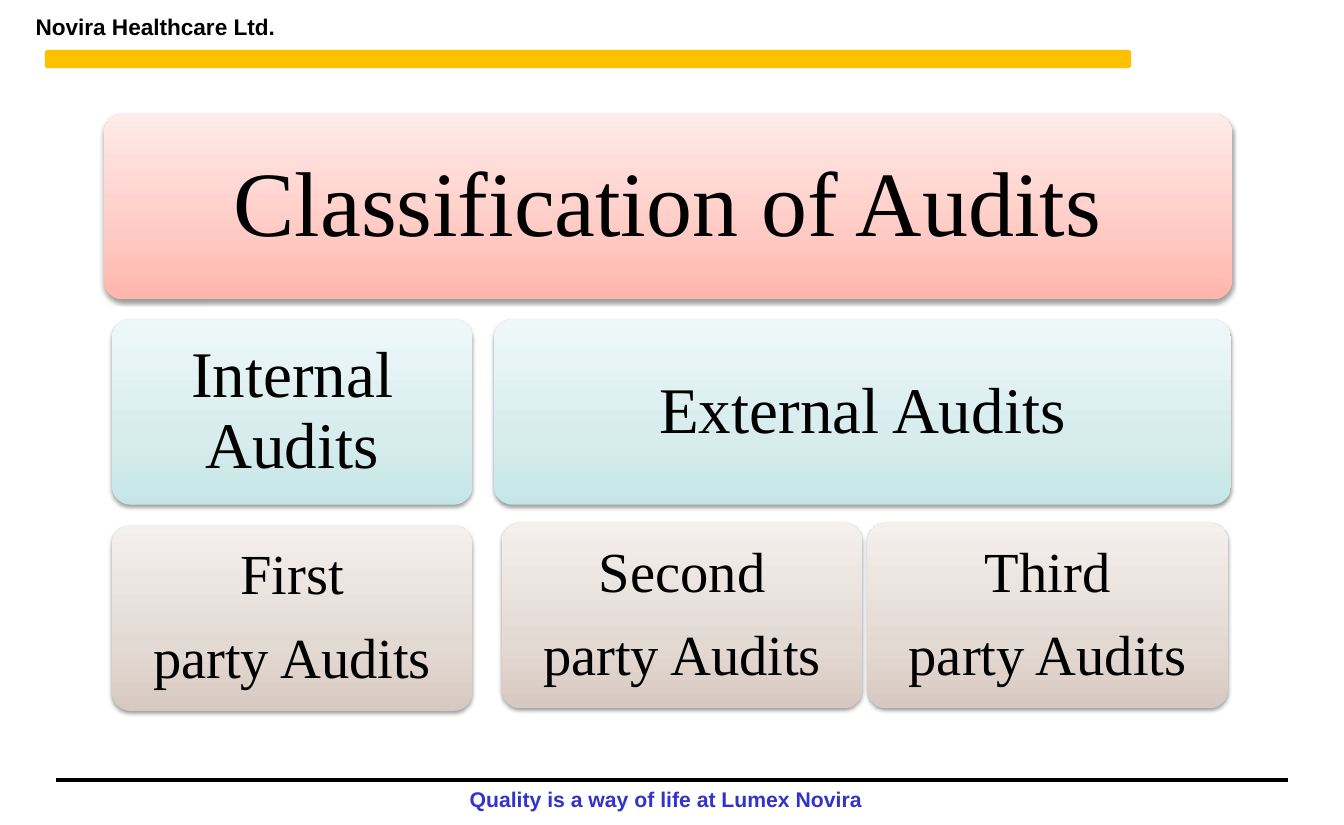
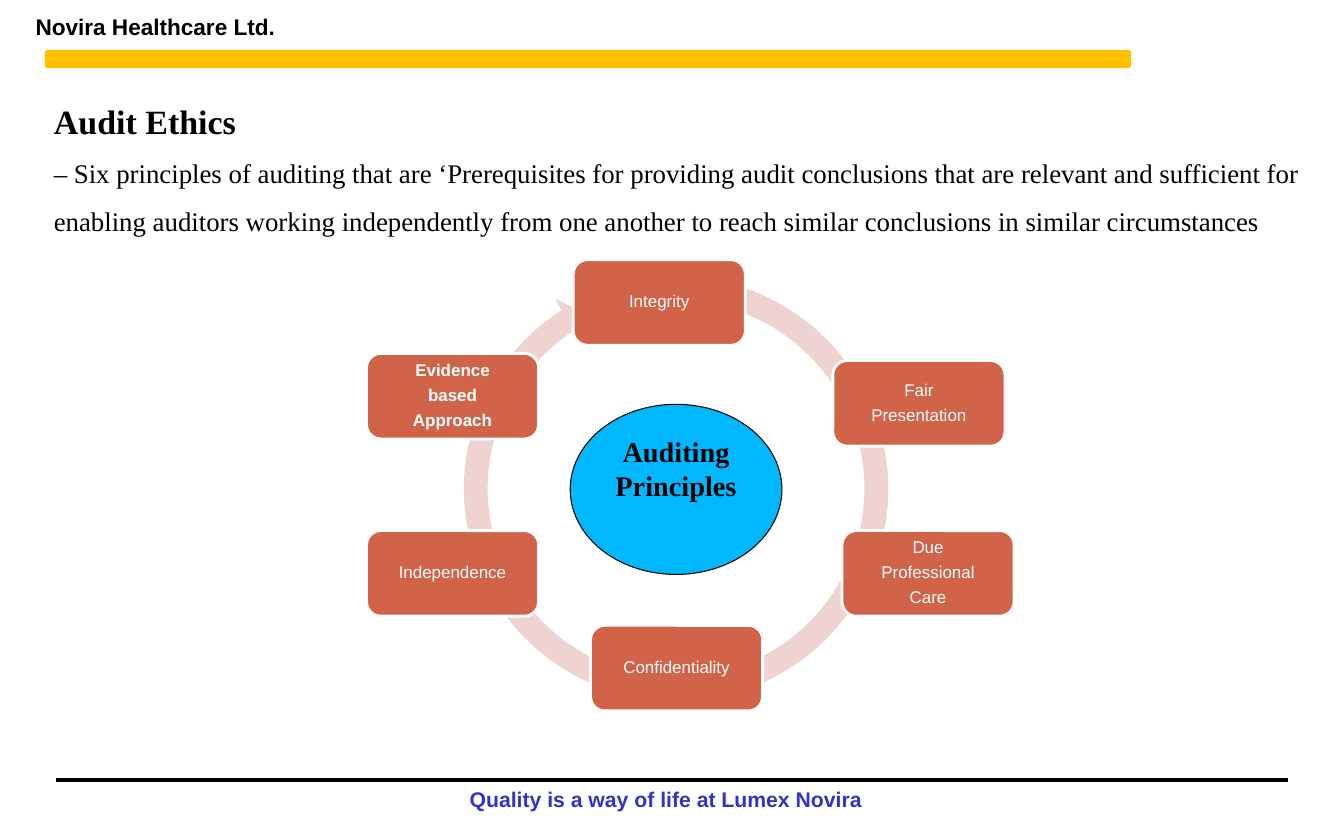
from dataclasses import dataclass
from typing import NamedTuple

import pptx
import pptx.dml.color
import pptx.enum.shapes
import pptx.enum.text
import pptx.oxml
import pptx.oxml.ns
import pptx.presentation
import pptx.shapes.autoshape
import pptx.shapes.base
import pptx.slide
import pptx.text.text
import pptx.util

PresetShape = pptx.enum.shapes.MSO_SHAPE
Anchor = pptx.enum.text.MSO_ANCHOR
Alignment = pptx.enum.text.PP_ALIGN

# The slide is a grid of square cells, a tenth of an inch each
COLUMNS, ROWS = 132, 81
CELL = pptx.util.Inches(0.1)


@dataclass(frozen=True)
class Theme:
    sans: str = "Arial"
    serif: str = "Times New Roman"
    black: str = "000000"
    white: str = "FFFFFF"
    band: str = "FFC000"
    motto: str = "3333CC"
    node: str = "D16349"
    ring: str = "EED3D0"
    hub: str = "00B8FF"
    company_size: int = 16
    motto_size: int = 15
    heading_size: int = 24
    body_size: int = 19
    node_size: int = 12
    hub_size: int = 20


THEME = Theme()


class Box(NamedTuple):
    column: float
    row: float
    columns: float
    rows: float

    def lengths(self) -> tuple[int, ...]:
        return tuple(round(value * CELL) for value in self)


class TextStyle(NamedTuple):
    font: str
    size: float
    color: str = THEME.black
    bold: bool = False
    alignment: Alignment = Alignment.CENTER
    line_spacing: float = 1.0
    space_after: float = 0  # share of the type size


class Level(NamedTuple):
    """Look of one level of the classification."""
    size: int
    inset: float
    bottom: str
    middle: str
    top: str

    def text_style(self) -> TextStyle:
        return TextStyle(THEME.serif, self.size, line_spacing=0.9, space_after=0.4)


class Tile(NamedTuple):
    lines: tuple[str, ...]
    column: float
    row: float
    columns: float
    level: Level


class Principle(NamedTuple):
    lines: tuple[str, ...]
    column: float
    row: float
    bold: bool = False


# Classification tiles
TILE_ROWS = 18.2
NARROW = 35.4
CLASS = Level(65, 3.2, "FFB5AC", "FFCAC4", "FFEBE8")
KIND = Level(46, 2.4, "C5E6E7", "D6ECED", "EFF8F9")
PARTY = Level(40, 2.2, "D7C9C1", "E3D9D3", "F4F0EE")
HEADING_TILE = Tile(("Classification of Audits",), 10.2, 11.2, 110.8, CLASS)
TILES = (
    Tile(("External Audits",), 48.5, 31.35, 72.4, KIND),
    Tile(("Second", "party Audits"), 49.3, 51.35, NARROW, PARTY),
    Tile(("Third", "party Audits"), 85.2, 51.35, NARROW, PARTY),
    Tile(("Internal Audits",), 11, 31.35, NARROW, KIND),
    Tile(("First", "party Audits"), 11, 51.6, NARROW, PARTY),
)

# Principles, clockwise from the top
NODE_COLUMNS, NODE_ROWS = 16.9, 8.4
RING_PERCENTS = (5.3, 312.6, 14218.2, 17132.8, 5.5)
PRINCIPLES = (
    Principle(("Integrity",), 56.3, 25.5),
    Principle(("Fair", "Presentation"), 81.8, 35.4),
    Principle(("Due", "Professional", "Care"), 82.7, 52.1),
    Principle(("Confidentiality",), 58, 61.4),
    Principle(("Independence",), 36, 52.1),
    Principle(("Evidence", "based", "Approach"), 36, 34.7, bold=True),
)


def rgb(color: str) -> pptx.dml.color.RGBColor:
    return pptx.dml.color.RGBColor.from_string(color)


def write(frame: pptx.text.text.TextFrame, lines: tuple[str, ...], style: TextStyle,
          insets: tuple[float, float] = (1, 0.5), anchor: Anchor = Anchor.TOP) -> None:
    """Fill a text frame, one paragraph a line; insets are across and down."""
    frame.word_wrap = True
    frame.auto_size = pptx.enum.text.MSO_AUTO_SIZE.NONE
    frame.vertical_anchor = anchor
    frame.margin_left = frame.margin_right = round(insets[0] * CELL)
    frame.margin_top = frame.margin_bottom = round(insets[1] * CELL)
    frame.text = "\n".join(lines)
    for paragraph in frame.paragraphs:
        paragraph.alignment = style.alignment
        paragraph.line_spacing = style.line_spacing
        paragraph.space_after = pptx.util.Pt(style.space_after * style.size)
        paragraph.font.name = style.font
        paragraph.font.size = pptx.util.Pt(style.size)
        paragraph.font.bold = style.bold
        paragraph.font.color.rgb = rgb(style.color)


def add_text(slide: pptx.slide.Slide, box: Box, text: str, style: TextStyle,
             insets: tuple[float, float] = (1, 0.5)) -> pptx.shapes.autoshape.Shape:
    shape = slide.shapes.add_textbox(*box.lengths())
    write(shape.text_frame, (text,), style, insets)
    return shape


def add_preset(slide: pptx.slide.Slide, preset: PresetShape, box: Box, fill: str | None = None,
               line: str | None = None, width: float = 0) -> pptx.shapes.autoshape.Shape:
    shape = slide.shapes.add_shape(preset, *box.lengths())
    shape.shadow.inherit = False
    if fill:
        shape.fill.solid()
        shape.fill.fore_color.rgb = rgb(fill)
    if line:
        shape.line.color.rgb = rgb(line)
        shape.line.width = pptx.util.Pt(width)
    else:
        shape.line.fill.background()
    return shape


def place_title(slide: pptx.slide.Slide, box: Box, text: str, style: TextStyle,
                insets: tuple[float, float] = (1, 0.5), anchor: Anchor = Anchor.TOP) -> None:
    title = slide.shapes.title
    title.left, title.top, title.width, title.height = box.lengths()
    write(title.text_frame, (text,), style, insets, anchor)
    slide.shapes.element.append(title.element)  # in front of what is drawn so far


def add_frame(slide: pptx.slide.Slide, layout: pptx.slide.SlideLayout) -> None:
    """Draw the header and footer, then hand them to the layout."""
    company = TextStyle(THEME.sans, THEME.company_size, bold=True, alignment=Alignment.LEFT)
    motto = TextStyle(THEME.sans, THEME.motto_size, THEME.motto, bold=True)
    rule_row = round(76.6 * CELL)
    rule = slide.shapes.add_connector(pptx.enum.shapes.MSO_CONNECTOR.STRAIGHT, round(5.5 * CELL),
                                      rule_row, round(126.5 * CELL), rule_row)
    rule.line.color.rgb = rgb(THEME.black)
    rule.line.width = pptx.util.Pt(3)
    rule.element.spPr.append(
        pptx.oxml.parse_xml(f"<a:effectLst {pptx.oxml.ns.nsdecls('a')}/>"))
    band = add_preset(slide, PresetShape.ROUNDED_RECTANGLE, Box(4.4, 4.9, 106.7, 1.8), THEME.band)
    parts: tuple[pptx.shapes.base.BaseShape, ...] = (
        add_text(slide, Box(2.3, 0.7, 59.4, 4), "Novira Healthcare Ltd.", company, (1.2, 0.6)),
        add_text(slide, Box(8.2, 76.6, 114.4, 3.8), "Quality is a way of life at Lumex Novira",
                 motto, (1.2, 0.6)),
        band,
        rule,
    )
    for part in parts:
        layout.shapes.element.append(part.element)


def add_tile(slide: pptx.slide.Slide, tile: Tile) -> pptx.shapes.autoshape.Shape:
    """Draw a rounded tile with a three-stop gradient and a soft shadow."""
    level = tile.level
    shape = add_preset(slide, PresetShape.ROUNDED_RECTANGLE,
                       Box(tile.column, tile.row, tile.columns, TILE_ROWS))
    shape.adjustments[0] = 0.1
    namespace = pptx.oxml.ns.nsdecls("a")
    stops = "".join(
        f'<a:gs pos="{percent * 1000}"><a:srgbClr val="{color}"/></a:gs>'
        for percent, color in ((0, level.bottom), (35, level.middle), (100, level.top)))
    properties = shape.element.spPr
    properties.find(pptx.oxml.ns.qn("a:prstGeom")).addnext(pptx.oxml.parse_xml(
        f'<a:gradFill {namespace} rotWithShape="1"><a:gsLst>{stops}</a:gsLst>'
        f'<a:lin ang="{270 * 60000}" scaled="1"/></a:gradFill>'))
    blur, distance = pptx.util.Pt(3.1), pptx.util.Pt(1.6)
    properties.find(pptx.oxml.ns.qn("a:effectLst")).append(pptx.oxml.parse_xml(
        f'<a:outerShdw {namespace} blurRad="{blur}" dist="{distance}" dir="{90 * 60000}" '
        f'rotWithShape="0"><a:srgbClr val="{THEME.black}"><a:alpha val="38000"/>'
        f'</a:srgbClr></a:outerShdw>'))
    return shape


def build_classification(slide: pptx.slide.Slide) -> None:
    heading = HEADING_TILE
    add_tile(slide, heading)
    place_title(slide, Box(heading.column, heading.row, heading.columns, TILE_ROWS),
                heading.lines[0], heading.level.text_style(),
                (heading.level.inset, heading.level.inset), Anchor.MIDDLE)
    for tile in TILES:
        shape = add_tile(slide, tile)
        write(shape.text_frame, tile.lines, tile.level.text_style(),
              (tile.level.inset, tile.level.inset), Anchor.MIDDLE)


def build_ethics(slide: pptx.slide.Slide) -> None:
    # Heading and introduction
    place_title(slide, Box(4.3, 7.4, 125.8, 6), "Audit Ethics",
                TextStyle(THEME.serif, THEME.heading_size, bold=True,
                          alignment=Alignment.LEFT, line_spacing=1.5))
    add_text(slide, Box(4.3, 13.3, 125.8, 10.6),
             "– Six principles of auditing that are ‘Prerequisites for providing audit "
             "conclusions that are relevant and sufficient for enabling auditors working "
             "independently from one another to reach similar conclusions in similar "
             "circumstances",
             TextStyle(THEME.serif, THEME.body_size, alignment=Alignment.LEFT,
                       line_spacing=1.5))

    # Ring with the principles on it
    ring = add_preset(slide, PresetShape.CIRCULAR_ARROW, Box(44.3, 25.9, 44.2, 44.2), THEME.ring)
    for index, percent in enumerate(RING_PERCENTS):
        ring.adjustments[index] = percent / 100
    for principle in PRINCIPLES:
        node = add_preset(slide, PresetShape.ROUNDED_RECTANGLE,
                          Box(principle.column, principle.row, NODE_COLUMNS, NODE_ROWS),
                          THEME.node, THEME.white, 2)
        style = TextStyle(THEME.sans, THEME.node_size, THEME.white, principle.bold,
                          line_spacing=0.9, space_after=0.4)
        write(node.text_frame, principle.lines, style, (0.9, 0.9), Anchor.MIDDLE)

    # Hub
    hub = add_preset(slide, PresetShape.OVAL, Box(56, 39.7, 20.8, 16.7),
                     THEME.hub, THEME.black, 0.75)
    write(hub.text_frame, ("Auditing Principles",),
          TextStyle(THEME.serif, THEME.hub_size, bold=True))


def main() -> None:
    presentation: pptx.presentation.Presentation = pptx.Presentation()
    presentation.slide_width = COLUMNS * CELL
    presentation.slide_height = ROWS * CELL
    layout = presentation.slide_layouts.get_by_name("Title Only")
    slides = [presentation.slides.add_slide(layout) for _ in range(2)]
    add_frame(slides[0], layout)
    build_classification(slides[0])
    build_ethics(slides[1])
    presentation.save("out.pptx")


if __name__ == "__main__":
    main()
